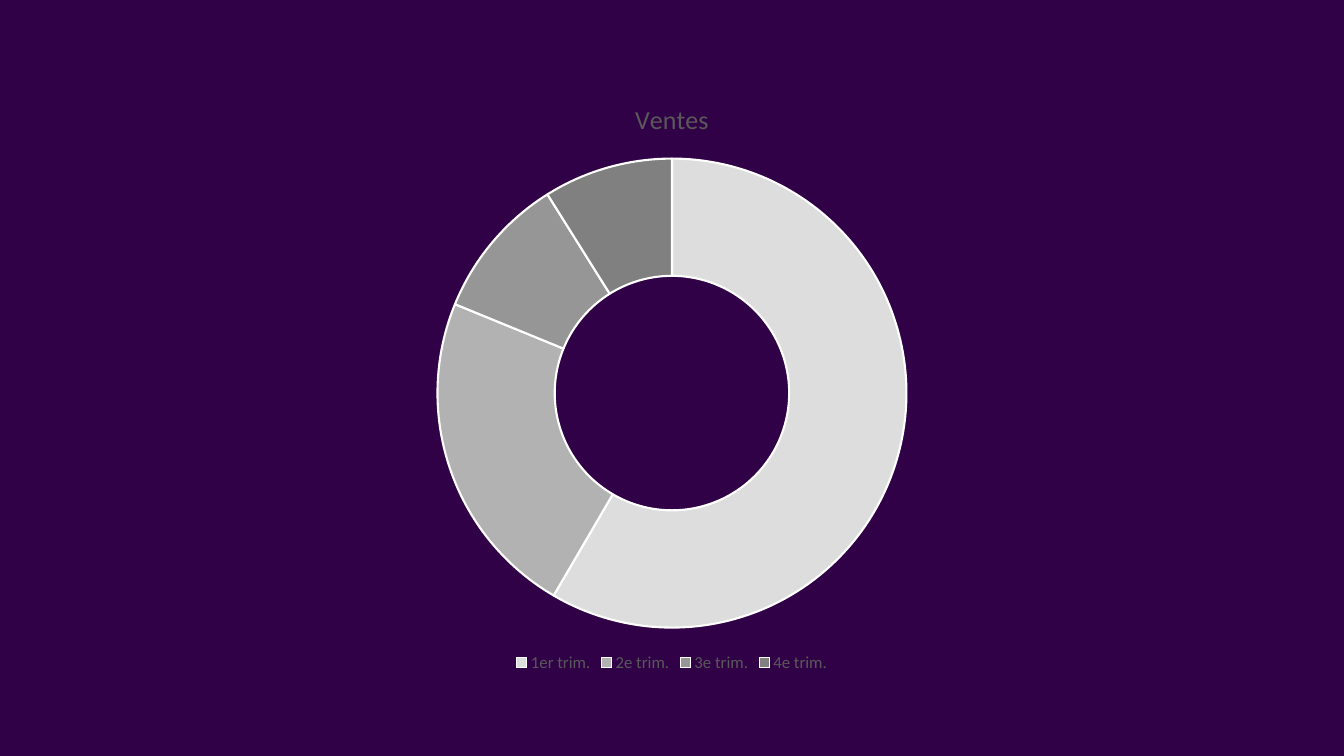
from pptx import Presentation
from pptx.chart.data import CategoryChartData
from pptx.dml.color import RGBColor
from pptx.enum.chart import XL_CHART_TYPE, XL_LEGEND_POSITION
from pptx.oxml.ns import qn
from pptx.util import Cm, Pt

DOUGHNUT = XL_CHART_TYPE.DOUGHNUT
LEGEND_BOTTOM = XL_LEGEND_POSITION.BOTTOM
FONT_NAME = "Calibri"
BACKGROUND = "310147"
TEXT_GREY = "595959"
RING_BORDER = "FFFFFF"
HOLE_PERCENT = 75
# label, value, colour
QUARTERS = [
    ("1er trim.", 59, "DDDDDD"),
    ("2e trim.", 23, "B2B2B2"),
    ("3e trim.", 10, "969696"),
    ("4e trim.", 9, "808080"),
]


def color(hex_string):
    return RGBColor.from_string(hex_string)


def style_font(font, size, hex_string):
    font.name = FONT_NAME
    font.size = Pt(size)
    font.bold = False
    font.color.rgb = color(hex_string)


def add_sales_chart(slide, left, top, width, height):
    chart_data = CategoryChartData()
    chart_data.categories = [label for label, _, _ in QUARTERS]
    chart_data.add_series("Ventes", [value for _, value, _ in QUARTERS])
    chart = slide.shapes.add_chart(
        DOUGHNUT, left, top, width, height, chart_data
    ).chart
    style_font(chart.font, 10, "000000")

    chart.has_title = True
    title_run = chart.chart_title.text_frame.paragraphs[0].add_run()
    title_run.text = "Ventes"
    style_font(title_run.font, 18.6, TEXT_GREY)
    chart.chart_title.include_in_layout = False

    chart.has_legend = True
    chart.legend.position = LEGEND_BOTTOM
    chart.legend.include_in_layout = False
    style_font(chart.legend.font, 12, TEXT_GREY)

    plot = chart.plots[0]
    plot.vary_by_categories = True
    for index, (_, _, fill_color) in enumerate(QUARTERS):
        point_format = plot.series[0].points[index].format
        point_format.fill.solid()
        point_format.fill.fore_color.rgb = color(fill_color)
        point_format.line.color.rgb = color(RING_BORDER)
        point_format.line.width = Pt(1.5)

    hole_size = next(chart.element.iter(qn("c:holeSize")))
    hole_size.set("val", str(HOLE_PERCENT))


def main():
    presentation = Presentation()
    presentation.slide_width = Cm(33.87)
    presentation.slide_height = Cm(19.05)
    slide = presentation.slides.add_slide(presentation.slide_layouts[6])
    slide.background.fill.solid()
    slide.background.fill.fore_color.rgb = color(BACKGROUND)

    chart_width, chart_height = Cm(22.58), Cm(15.06)
    chart_left = (presentation.slide_width - chart_width) // 2
    chart_top = (presentation.slide_height - chart_height) // 2
    add_sales_chart(slide, chart_left, chart_top, chart_width, chart_height)
    presentation.save("out.pptx")


if __name__ == "__main__":
    main()
